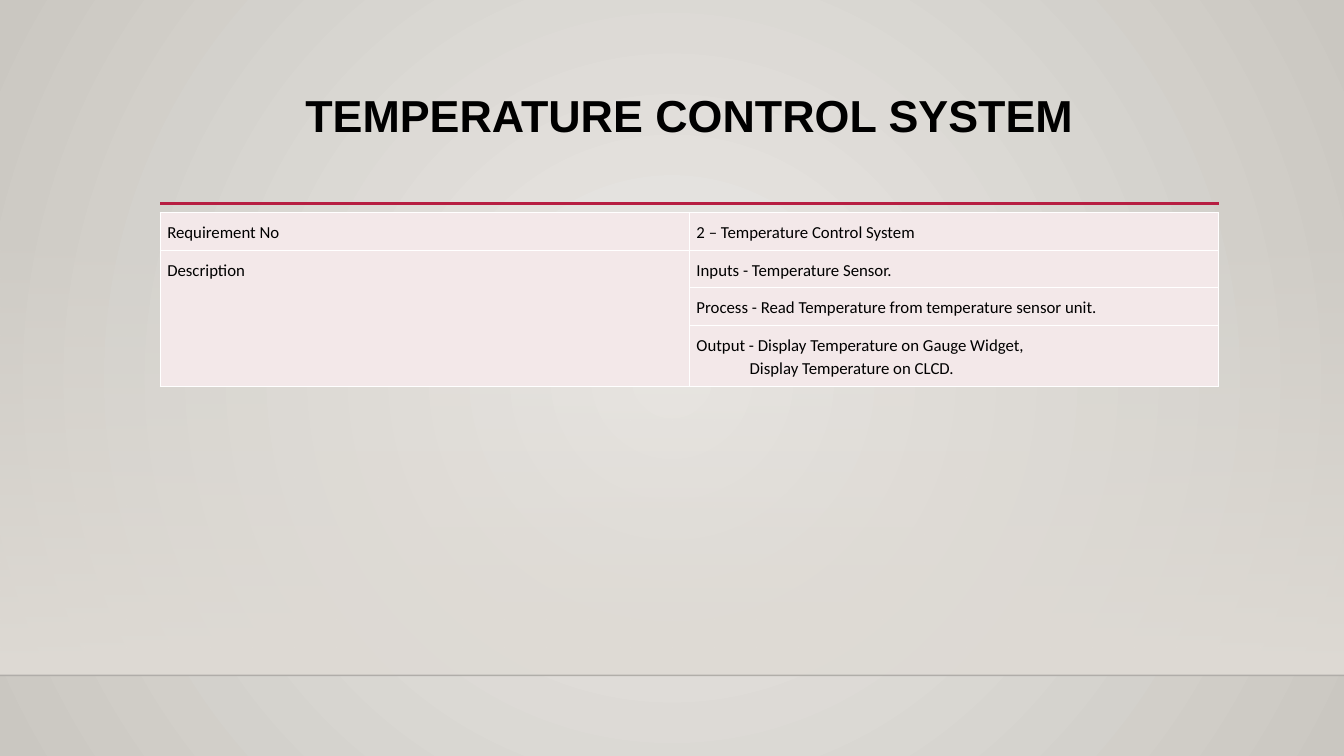
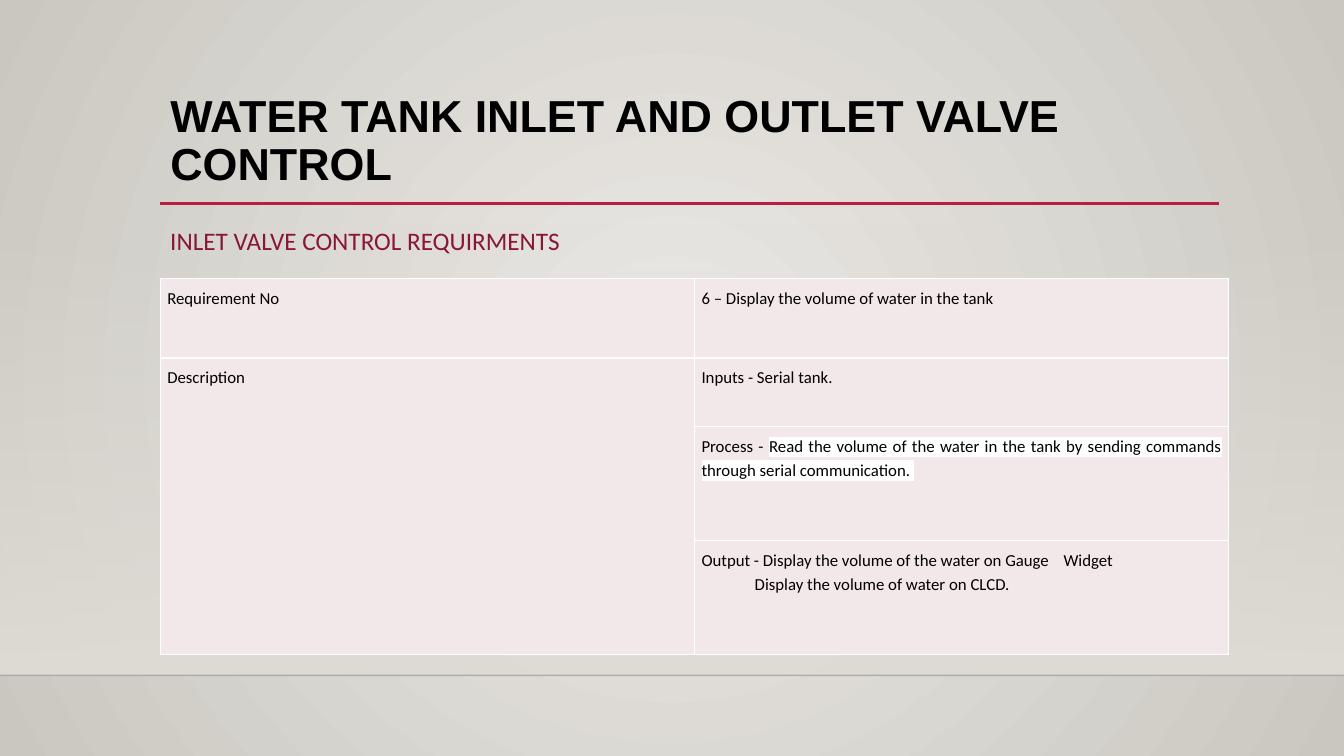
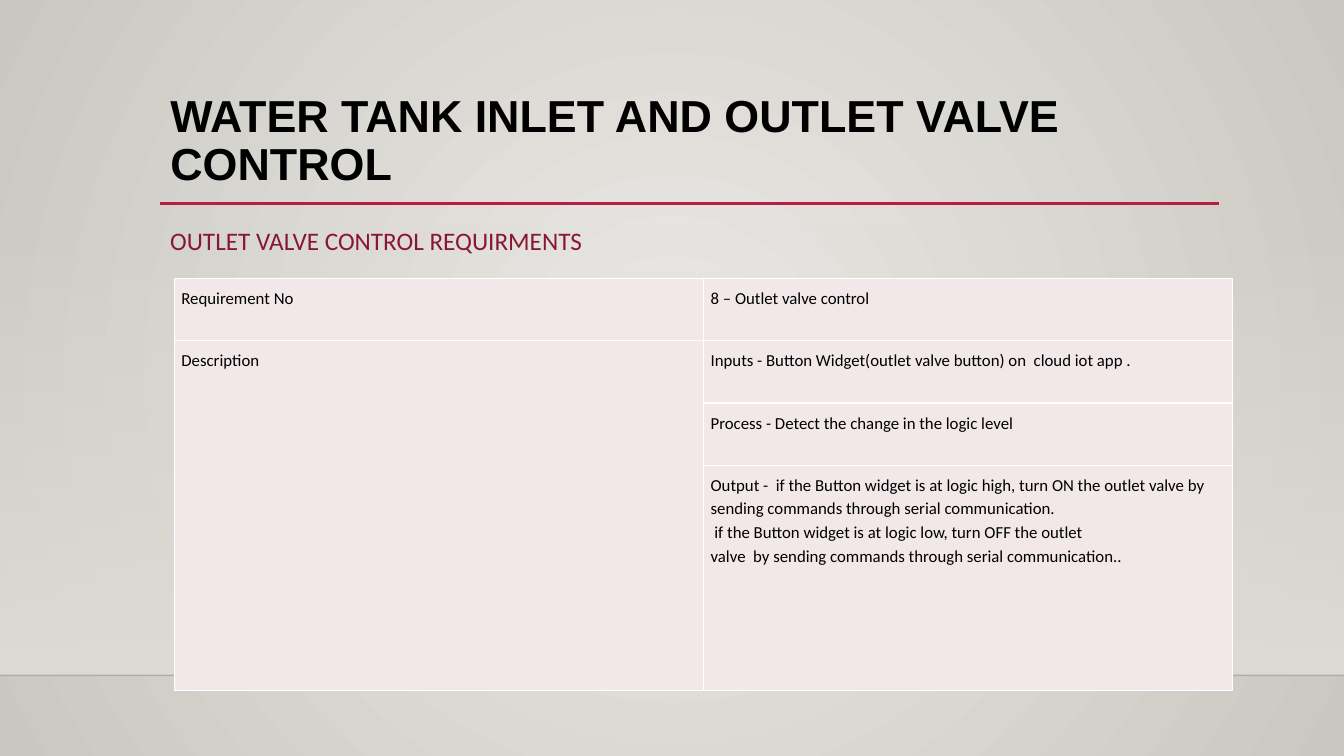
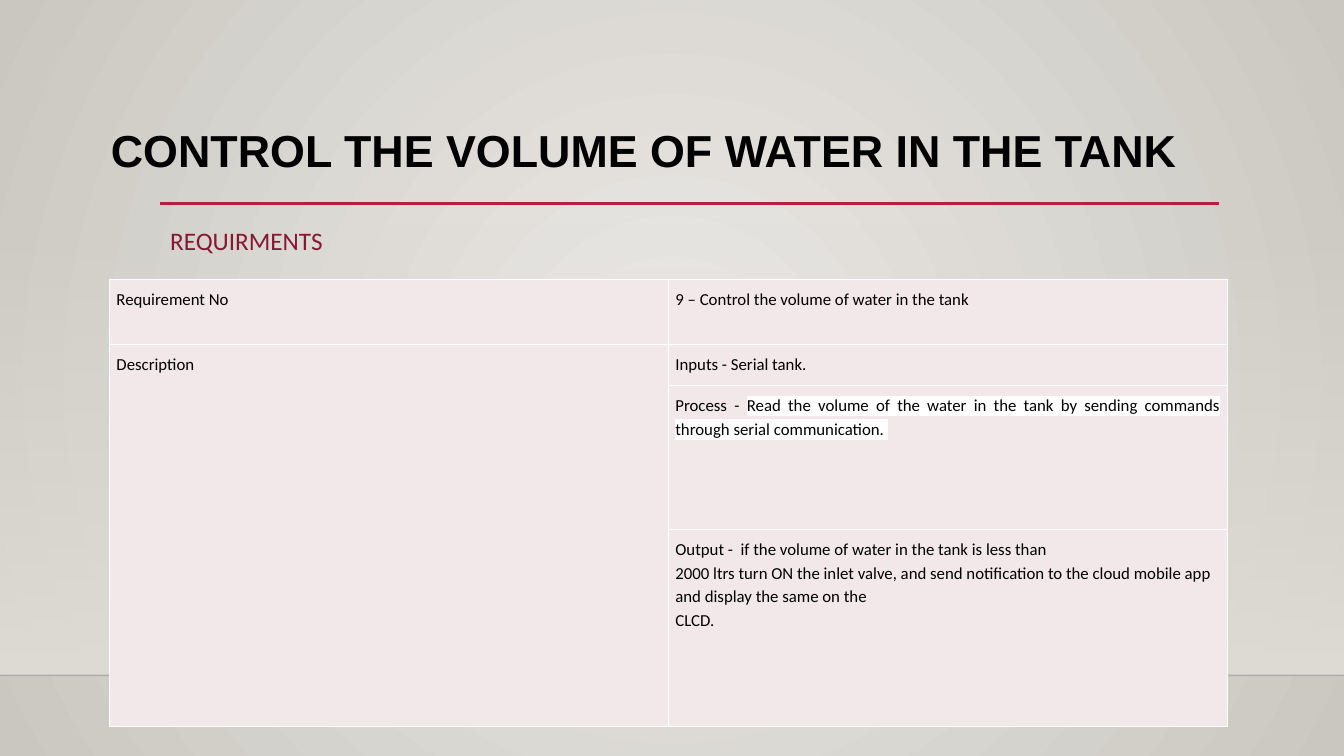
from dataclasses import dataclass

from lxml.etree import SubElement
from pptx import Presentation
from pptx.dml.color import RGBColor as Rgb
from pptx.enum.shapes import MSO_CONNECTOR as Conn, MSO_SHAPE as Shape
from pptx.enum.text import MSO_ANCHOR as Anchor, MSO_AUTO_SIZE as Fit, PP_ALIGN as Align
from pptx.oxml.ns import qn
from pptx.util import Pt


@dataclass(frozen=True)
class Theme:
    ink: str = "000000"
    red: str = "B71E42"
    wine: str = "891731"
    white: str = "FFFFFF"
    cell: str = "F3E8E9"
    glow: str = "ECEAE7"
    edge: str = "CAC7C1"
    floor: str = "DFDBD5"
    rule: str = "000001"
    head: str = "Arial"
    body: str = "Calibri"
    big: float = 32
    mid: float = 18
    small: float = 12


@dataclass(frozen=True)
class Para:
    text: str
    mark: str = ""
    left: float = 0
    tab: float = 0
    just: bool = False


T = Theme()
WIDE, HIGH = 960, 540
TITLE = (114.5, 63.4, 756, 82.8)
PAD = 5


def pts(*vals):
    return [Pt(v) for v in vals]


def add_run(para, text, size, color, face, bold=False, mark=None):
    run = para.add_run()
    run.text = text
    font = run.font
    font.size, font.bold = Pt(size), bold
    font.color.rgb = Rgb.from_string(color)
    if mark:
        light = SubElement(font._element, qn("a:highlight"))
        SubElement(light, qn("a:srgbClr"), val=mark)
    font.name = face


def set_alpha(color, share):
    SubElement(color, qn("a:alpha"), val=str(share * 1000))


def fill_stops(fill, *colors):
    fill.gradient()
    for stop, color in zip(fill.gradient_stops, colors):
        stop.color.rgb = Rgb.from_string(color)


def add_line(slide, x, y, end, color, width, alpha=None):
    line = slide.shapes.add_connector(Conn.STRAIGHT, *pts(x, y, end, y))
    line.line.color.rgb = Rgb.from_string(color)
    line.line.width = Pt(width)
    SubElement(line._element.spPr, qn("a:effectLst"))
    if alpha:
        set_alpha(line._element.spPr.find(".//" + qn("a:srgbClr")), alpha)
    return line


def add_band(slide, x, y, w, h):
    band = slide.shapes.add_shape(Shape.RECTANGLE, *pts(x, y, w, h))
    band.shadow.inherit = False
    band.line.fill.background()
    fill_stops(band.fill, T.floor, T.floor)
    band.fill.gradient_angle = 270
    for color, share in zip(band._element.spPr.iter(qn("a:srgbClr")), (0, 100)):
        set_alpha(color, share)
    return band


def style_layout(layout, slide):
    back = layout.background.fill
    fill_stops(back, T.glow, T.edge)
    lin = layout._element.find(".//" + qn("a:lin"))
    grad = lin.getparent()
    grad.remove(lin)
    ring = SubElement(grad, qn("a:path"), path="circle")
    SubElement(ring, qn("a:fillToRect"), l="50000", t="50000", r="50000", b="50000")
    x, y, w, h = TITLE
    parts = (
        add_band(slide, 0, 159, WIDE, 323.4),
        add_line(slide, 0, 482.4, WIDE, T.rule, 1, 20),
        add_line(slide, x, 145.4, x + w, T.red, 2.5),
    )
    for part in parts:
        layout.shapes._spTree.append(part._element)
    place(layout.placeholders[0], TITLE)


def place(shape, box):
    shape.left, shape.top, shape.width, shape.height = pts(*box)


def add_title(slide, text, box, align):
    title = slide.shapes.title
    place(title, box)
    frame = title.text_frame
    frame.word_wrap, frame.auto_size = True, Fit.NONE
    frame.vertical_anchor = Anchor.TOP
    para = frame.paragraphs[0]
    para.alignment, para.line_spacing = align, 0.9
    add_run(para, text, T.big, T.ink, T.head, True)


def add_sub(slide, text, box):
    frame = slide.shapes.add_textbox(*pts(*box)).text_frame
    frame.word_wrap = True
    add_run(frame.paragraphs[0], text, T.mid, T.wine, T.body)


def add_para(para, item):
    para.line_spacing = 1.15
    para.alignment = Align.JUSTIFY if item.just else Align.LEFT
    props = para._p.get_or_add_pPr()
    if item.left:
        props.set("marL", str(Pt(item.left)))
        props.set("indent", "0")
    if item.tab:
        tabs = SubElement(props, qn("a:tabLst"))
        SubElement(tabs, qn("a:tab"), pos=str(Pt(item.tab)), algn="l")
    add_run(para, item.text, T.small, T.ink, T.body)
    if item.mark:
        add_run(para, item.mark, T.small, T.ink, T.body, mark=T.white)


def style_cell(cell):
    cell.margin_left = cell.margin_right = Pt(PAD)
    cell.margin_top = cell.margin_bottom = Pt(PAD)
    props = cell._tc.get_or_add_tcPr()
    for side in ("lnL", "lnR", "lnT", "lnB"):
        edge = SubElement(props, qn("a:" + side), w=str(Pt(1)))
        solid = SubElement(edge, qn("a:solidFill"))
        SubElement(solid, qn("a:srgbClr"), val=T.white)
    cell.fill.solid()
    cell.fill.fore_color.rgb = Rgb.from_string(T.cell)


def fill_cell(cell, items):
    frame = cell.text_frame
    for i, item in enumerate(items):
        add_para(frame.add_paragraph() if i else frame.paragraphs[0], item)


def add_grid(slide, x, y, w, rows, notes):
    table = slide.shapes.add_table(len(rows), 2, *pts(x, y, w, sum(rows))).table
    table.first_row = table.horz_banding = False
    for col in table.columns:
        col.width = Pt(w / 2)
    for row, high in zip(table.rows, rows):
        row.height = Pt(high)
        for cell in row.cells:
            style_cell(cell)
    table.cell(1, 0).merge(table.cell(len(rows) - 1, 0))
    for i, name in enumerate(("Requirement No", "Description")):
        fill_cell(table.cell(i, 0), [Para(name)])
    for i, items in enumerate(notes):
        fill_cell(table.cell(i, 1), items)


READ = Para(
    "Process - ",
    "Read the volume of the water in the tank by sending commands through serial communication. ",
    just=True,
)
VALVE = "WATER TANK INLET AND OUTLET VALVE CONTROL"
PAGES = [
    dict(
        title=("TEMPERATURE CONTROL SYSTEM", TITLE, Align.CENTER),
        grid=(114.5, 151.9, 756, (25, 21, 23, 23)),
        notes=[
            [Para("2 – Temperature Control System")],
            [Para("Inputs - Temperature Sensor.")],
            [Para("Process - Read Temperature from temperature sensor unit.", just=True)],
            [
                Para("Output - Display Temperature on Gauge Widget,"),
                Para("Display Temperature on CLCD.", left=38, just=True),
            ],
        ],
    ),
    dict(
        title=(VALVE, TITLE, Align.LEFT),
        sub=("INLET VALVE CONTROL REQUIRMENTS", (114.5, 157.7, 552, 29)),
        grid=(114.5, 198.7, 763.2, (57, 49, 81.5, 81.5)),
        notes=[
            [Para("6 – Display the volume of water in the tank")],
            [Para("Inputs - Serial tank.")],
            [READ],
            [
                Para("Output - Display the volume of the water on Gauge\tWidget", tab=258.6),
                Para("Display the volume of water on CLCD.", left=38, just=True),
            ],
        ],
    ),
    dict(
        title=(VALVE, TITLE, Align.LEFT),
        sub=("OUTLET VALVE CONTROL REQUIRMENTS", (114.5, 157.7, 366, 29)),
        grid=(124.6, 198.7, 756, (44.6, 44.6, 44.6, 160.6)),
        notes=[
            [Para("8 – Outlet valve control")],
            [Para("Inputs - Button Widget(outlet valve button) on  cloud iot app .")],
            [Para("Process - Detect the change in the logic level", just=True)],
            [
                Para(
                    "Output -  if the Button widget is at logic high, turn ON the outlet valve by "
                    "sending commands through serial communication."
                ),
                Para("if the Button widget is at logic low, turn OFF the outlet", left=2.7),
                Para("valve  by sending commands through serial communication.."),
            ],
        ],
    ),
    dict(
        title=("CONTROL THE VOLUME OF WATER IN THE TANK", (72, 88.6, 816.5, 42.5), Align.LEFT),
        sub=("REQUIRMENTS", (114.5, 157.7, 167, 29)),
        grid=(78.2, 199.4, 798.5, (46.8, 29.2, 103, 140.4)),
        notes=[
            [Para("9 – Control the volume of water in the tank")],
            [Para("Inputs - Serial tank.")],
            [READ],
            [
                Para("Output -  if the volume of water in the tank is less than"),
                Para(
                    "2000 ltrs turn ON the inlet valve, and send notification to the cloud "
                    "mobile app and display the same on the"
                ),
                Para("CLCD."),
            ],
        ],
    ),
]


def main():
    deck = Presentation()
    deck.slide_width, deck.slide_height = pts(WIDE, HIGH)
    layout = deck.slide_layouts[5]
    for i, page in enumerate(PAGES):
        slide = deck.slides.add_slide(layout)
        if not i:
            style_layout(layout, slide)
        add_title(slide, *page["title"])
        if "sub" in page:
            add_sub(slide, *page["sub"])
        add_grid(slide, *page["grid"], page["notes"])
    deck.save("out.pptx")


if __name__ == "__main__":
    main()
